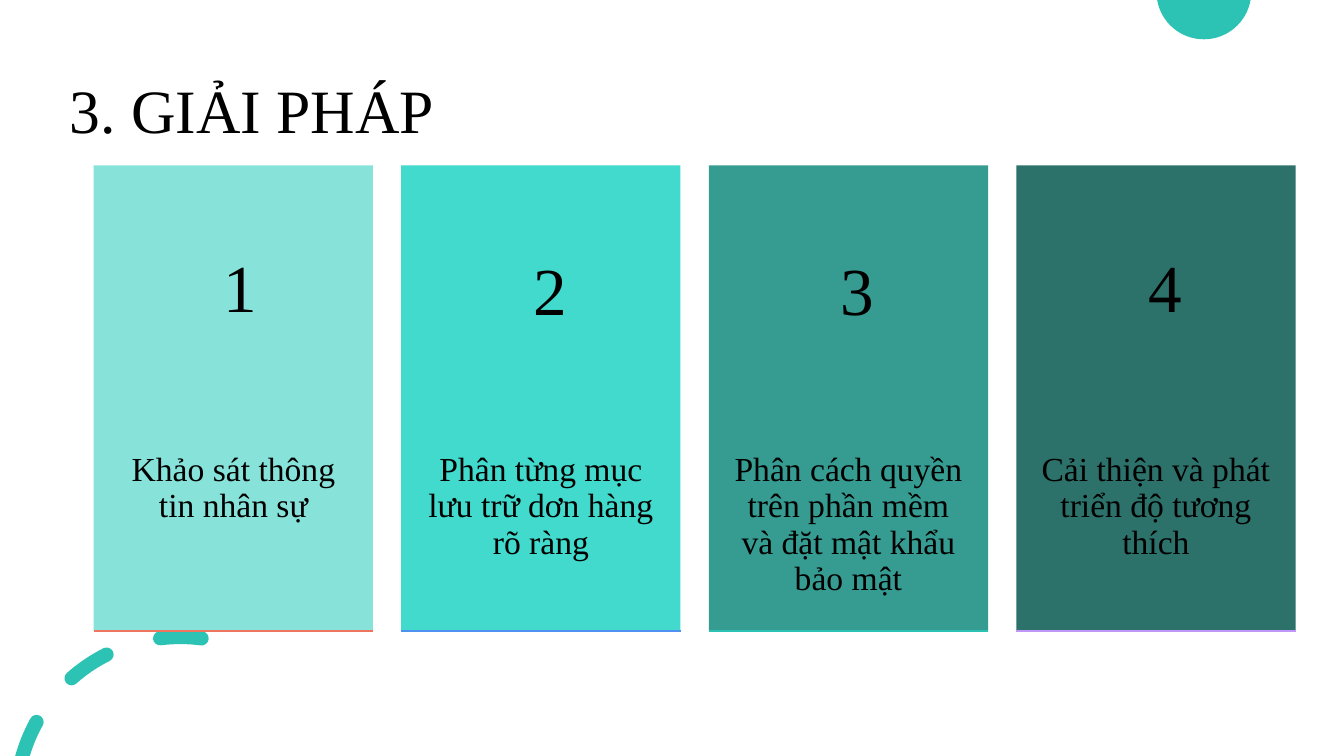
import math
import pptx
import pptx.dml.color
import pptx.enum.shapes
import pptx.enum.text
import pptx.oxml.ns
import pptx.util
from lxml import etree

Inches = pptx.util.Inches
Pt = pptx.util.Pt
qn = pptx.oxml.ns.qn
ANCHOR = pptx.enum.text.MSO_ANCHOR
ALIGN = pptx.enum.text.PP_ALIGN
FIT = pptx.enum.text.MSO_AUTO_SIZE
WIDE, HIGH = 13.33, 7.5

HUES = {
    "ink": "000000", "teal": "2CC3B4",
    "pale": "7AE1D7", "aqua": "2DD7C7", "sea": "219287", "deep": "16625A",
    "coral": "EE7661", "blue": "4E91F0", "lilac": "C097F8",
}
CARDS = [
    ("Khảo sát thông tin nhân sự", "pale", "coral", (1.19, 0.74)),
    ("Phân từng mục lưu trữ dơn hàng rõ ràng", "aqua", "blue", (1.21, 0.77)),
    ("Phân cách quyền trên phần mềm và đặt mật khẩu bảo mật",
     "sea", "teal", (1.21, 0.77)),
    ("Cải thiện và phát triển độ tương thích", "deep", "lilac", (1.21, 0.74)),
]


def hue(name):
    return pptx.dml.color.RGBColor.from_string(HUES[name])


def apply(item, form):
    for key, value in form.items():
        setattr(item, key, value)


def paint(shape, name):
    shape.shadow.inherit = False
    shape.fill.solid()
    shape.fill.fore_color.rgb = hue(name)
    shape.line.fill.background()


def write(shape, text, size, frame, para):
    apply(shape.text_frame, frame)
    line = shape.text_frame.paragraphs[0]
    line.text = text
    apply(line, para)
    apply(line.font, {"name": "Times New Roman", "size": Pt(size)})
    line.font.color.rgb = hue("ink")


def polar(mid, size, turn):
    turn = math.radians(turn)
    return mid[0] - size * math.sin(turn), mid[1] - size * math.cos(turn)


def arc(mid, size, start, stop, parts=1):
    step = (stop - start) / parts
    pull = 4 / 3 * math.tan(math.radians(step) / 4) * size
    points = [polar(mid, size, start)]
    for n in range(parts):
        one, two = start + n * step, start + (n + 1) * step
        head, tail = polar(mid, size, one), polar(mid, size, two)
        points += [polar(head, pull, one + 90),
                   polar(tail, -pull, two + 90), tail]
    return points


def chain(*arcs):
    points = list(arcs[0])
    for curve in arcs[1:]:
        if math.dist(points[-1], curve[0]) > 0.01:
            points += [points[-1], curve[0], curve[0]]
        points += curve[1:]
    return points


def outline(slide, *loops):
    loops = [[(Inches(x), Inches(y)) for x, y in loop] for loop in loops]
    pen = slide.shapes.build_freeform(*loops[0][0])
    for n, loop in enumerate(loops):
        if n:
            pen.move_to(*loop[0])
        pen.add_line_segments(loop[1:])
    shape = pen.convert_to_shape()
    paint(shape, "teal")
    lines = list(shape._element.iter(qn("a:lnTo")))
    for n in range(0, len(lines), 3):
        curve = etree.Element(qn("a:cubicBezTo"))
        lines[n].addprevious(curve)
        for line in lines[n:n + 3]:
            curve.append(line[0])
            line.getparent().remove(line)


def add_decor(slide):
    mid, size = (11.94, -0.08), 0.47
    edge = math.degrees(math.acos(mid[1] / size))
    outline(slide, arc(mid, size, edge, 360 - edge, 2))

    mid, size, half = (1.79, 7.95), 1.63, 0.07
    outer, inner = size + half, size - half

    def cap(turn, side):
        return arc(polar(mid, size, turn), half, turn + side,
                   turn + side + 180, 2)

    def dash(start, stop):
        return chain(arc(mid, outer, start, stop), cap(stop, 0),
                     arc(mid, inner, stop, start), cap(start, 180))

    def cut(reach):
        return math.degrees(math.acos((mid[1] - HIGH) / reach))

    low = 61.1
    last = chain(arc(mid, outer, low, cut(outer)),
                 arc(mid, inner, cut(inner), low), cap(low, 180))
    outline(slide, last, dash(26.7, 41.5), dash(-7.4, 7.1))


def add_title(slide, box):
    title = slide.shapes.title
    apply(title, dict(zip(("left", "top", "width", "height"),
                          map(Inches, box))))
    write(title, "3. GIẢI PHÁP", 44,
          {"vertical_anchor": ANCHOR.MIDDLE, "auto_size": FIT.NONE,
           "word_wrap": True},
          {"alignment": ALIGN.LEFT, "line_spacing": 0.9})


def add_card(slide, box, number, card):
    text, tint, edge, shift = card
    left, top, width, height = box
    panel = slide.shapes.add_shape(
        pptx.enum.shapes.MSO_SHAPE.RECTANGLE, *map(Inches, box))
    paint(panel, tint)
    color = panel._element.spPr.find(".//" + qn("a:srgbClr"))
    etree.SubElement(color, qn("a:alpha"), val="90000")
    write(panel, text, 24,
          {"margin_left": Inches(0.2), "margin_right": Inches(0.2),
           "margin_top": Inches(2.85), "margin_bottom": Inches(0.2),
           "vertical_anchor": ANCHOR.TOP, "word_wrap": True},
          {"alignment": ALIGN.CENTER, "line_spacing": 0.9})

    base = top + height
    rule = slide.shapes.add_connector(
        pptx.enum.shapes.MSO_CONNECTOR.STRAIGHT,
        *map(Inches, (left, base, left + width, base)))
    rule.line.color.rgb = hue(edge)
    rule.line.width = Pt(1)
    etree.SubElement(rule._element.spPr, qn("a:effectLst"))

    label = slide.shapes.add_textbox(
        *map(Inches, (left + shift[0], top + shift[1], 0.54, 0.91)))
    write(label, str(number), 48,
          {"word_wrap": False, "auto_size": FIT.SHAPE_TO_FIT_TEXT},
          {"alignment": ALIGN.LEFT})


def add_cards(slide, box):
    left, top, width, height = box
    gap = 0.28
    each = (width - gap * (len(CARDS) - 1)) / len(CARDS)
    for n, card in enumerate(CARDS):
        spot = (left + n * (each + gap), top, each, height)
        add_card(slide, spot, n + 1, card)


def main():
    deck = pptx.Presentation()
    deck.slide_width, deck.slide_height = Inches(WIDE), Inches(HIGH)
    slide = deck.slides.add_slide(deck.slide_layouts.get_by_name("Title Only"))
    add_decor(slide)
    add_title(slide, (0.59, 0.4, 11.5, 1.45))
    add_cards(slide, (0.93, 1.64, 11.92, 4.62))
    deck.save("out.pptx")


if __name__ == "__main__":
    main()
